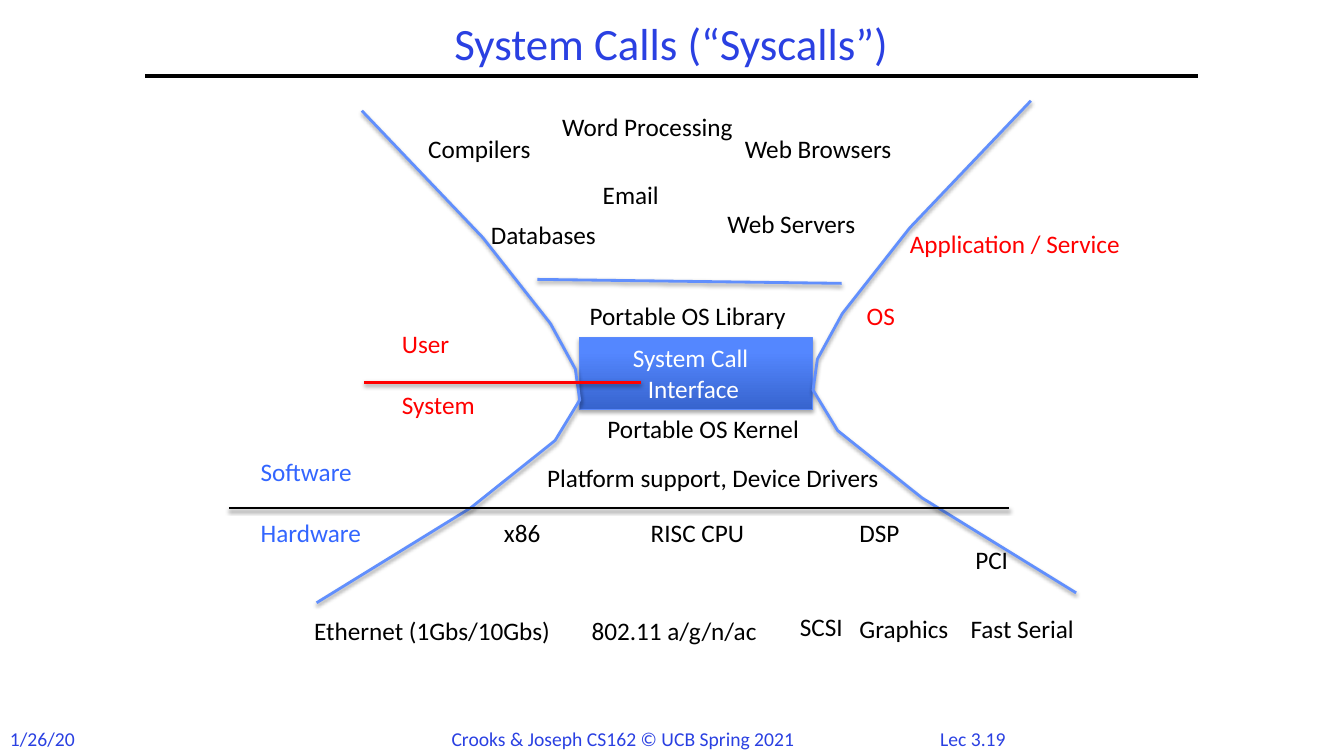
"""Build the slide about system calls as the narrow waist between applications and hardware."""
from copy import deepcopy
from typing import NamedTuple

from lxml.etree import SubElement
from pptx import Presentation
from pptx.dml.color import RGBColor
from pptx.enum.shapes import MSO_CONNECTOR, MSO_SHAPE
from pptx.enum.text import MSO_ANCHOR, MSO_AUTO_SIZE, PP_ALIGN
from pptx.oxml.ns import qn
from pptx.util import Cm, Pt

FONT = "Calibri"
BLACK, WHITE, RED = "000000", "FFFFFF", "FF0000"
TITLE_BLUE, LABEL_BLUE, CURVE_BLUE = "2A40E2", "3366FF", "618FFD"
LABEL_HEIGHT, FOOTER_HEIGHT = 1.02, 0.86
FOOTER_TOP = 18.19
ISA_TOP = 12.9
MIRROR_SUM, MIRROR_RISE = 35.1, 0.25


class Label(NamedTuple):
    text: str
    left: float
    top: float
    width: float
    color: str = BLACK
    size: int = 18
    height: float = LABEL_HEIGHT
    align: PP_ALIGN = PP_ALIGN.LEFT


class Rule(NamedTuple):
    start: tuple[float, float]
    end: tuple[float, float]
    color: str
    width: float = 2
    shadow: bool = True


TITLE = Label("System Calls (“Syscalls”)", 3.66, 0.43, 26.52, TITLE_BLUE, 32, 1.47, PP_ALIGN.CENTER)
INTERFACE = Label("System Call \nInterface", 15.42, 8.51, 4.11, WHITE, height=1.8, align=PP_ALIGN.CENTER)

FOOTERS = [
    Label("Lec 3.19", 23.29, FOOTER_TOP, 2.46, TITLE_BLUE, 14, FOOTER_HEIGHT, PP_ALIGN.CENTER),
    Label("1/26/20", 0, FOOTER_TOP, 2.16, TITLE_BLUE, 14, FOOTER_HEIGHT),
    Label("Crooks & Joseph CS162 © UCB Spring 2021", 11.13, FOOTER_TOP, 9.22, TITLE_BLUE, 14, FOOTER_HEIGHT),
]

LAYER_LABELS = [
    Label("Compilers", 10.54, 3.23, 3.4),
    Label("Web Servers", 18.08, 5.13, 4.22),
    Label("Web Browsers", 18.52, 3.23, 4.67),
    Label("Databases", 12.12, 5.41, 3.58),
    Label("Email", 14.94, 4.39, 2.11),
    Label("Word Processing", 13.92, 2.69, 5.38),
    Label("Portable OS Library", 14.61, 7.44, 6.15),
    INTERFACE,
    Label("Portable OS Kernel", 15.06, 10.29, 6.05),
    Label("Platform support, Device Drivers", 13.54, 11.53, 9.91),
    Label("x86", 12.45, ISA_TOP, 1.55),
    Label("DSP", 21.41, ISA_TOP, 1.93),
    Label("RISC CPU", 16.15, ISA_TOP, 3.23),
    Label("Ethernet (1Gbs/10Gbs)", 7.67, 15.39, 7.14),
    Label("802.11 a/g/n/ac", 14.66, 15.37, 4.88),
    Label("SCSI", 19.91, 15.29, 2.01),
    Label("Fast Serial", 24.21, 15.34, 3.94),
    Label("Graphics", 21.41, 15.32, 3.07),
    Label("PCI", 24.33, 13.59, 1.57),
]

BOUNDARY_LABELS = [
    Label("Hardware", 6.32, ISA_TOP, 3.3, LABEL_BLUE),
    Label("Software", 6.32, 11.38, 3.05, LABEL_BLUE),
    Label("System", 9.88, 9.68, 2.64, RED),
    Label("User", 9.88, 8.15, 1.85, RED),
    Label("OS", 21.59, 7.44, 1.45, RED),
    Label("Application / Service", 22.68, 5.64, 6.32, RED),
]

TITLE_RULE = Rule((3.66, 1.91), (30.2, 1.91), BLACK, 3, False)
BOUNDARIES = [
    Rule((13.54, 7.04), (21.21, 7.14), CURVE_BLUE),
    Rule((5.77, 12.8), (25.43, 12.8), BLACK),
    Rule((9.17, 9.63), (16.15, 9.63), RED),
]

LEFT_CURVE = [
    (9.12, 2.79), (12.17, 5.99), (13.87, 8.15), (14.5, 9.3),
    (14.61, 10.08), (13.99, 11.1), (11.86, 12.8), (7.98, 15.19),
]
RIGHT_CURVE = [(MIRROR_SUM - x, y - MIRROR_RISE) for x, y in LEFT_CURVE]
GRADIENT = [(0, "3764CE"), (0.8, "5487FF"), (1, "5688FF")]


def rgb(value: str) -> RGBColor:
    return RGBColor.from_string(value)


def set_effects(shape, opacity: int = 0, distance: float = 1.6) -> None:
    effects = SubElement(shape._element.spPr, qn("a:effectLst"))
    if opacity:
        shadow = SubElement(effects, qn("a:outerShdw"), blurRad=str(Pt(3.1)), dist=str(Pt(distance)),
                            dir="5400000", rotWithShape="0")
        color = SubElement(shadow, qn("a:srgbClr"), val=BLACK)
        SubElement(color, qn("a:alpha"), val=str(opacity * 1000))


def set_line(shape, color: str, width: float) -> None:
    shape.line.color.rgb = rgb(color)
    shape.line.width = Pt(width)


def add_label(page, label: Label):
    box = page.shapes.add_textbox(Cm(label.left), Cm(label.top), Cm(label.width), Cm(label.height))
    frame = box.text_frame
    frame.text = label.text
    frame.word_wrap = False
    frame.auto_size = MSO_AUTO_SIZE.SHAPE_TO_FIT_TEXT
    for paragraph in frame.paragraphs:
        paragraph.alignment = label.align
        paragraph.font.name = FONT
        paragraph.font.size = Pt(label.size)
        paragraph.font.color.rgb = rgb(label.color)
    return box


def add_title(page, title: Label) -> None:
    frame = add_label(page, title).text_frame
    frame.word_wrap = True
    frame.auto_size = MSO_AUTO_SIZE.NONE
    frame.vertical_anchor = MSO_ANCHOR.MIDDLE
    frame.paragraphs[0].line_spacing = 0.9


def add_rule(page, rule: Rule) -> None:
    ends = [Cm(value) for value in (*rule.start, *rule.end)]
    connector = page.shapes.add_connector(MSO_CONNECTOR.STRAIGHT, *ends)
    set_line(connector, rule.color, rule.width)
    set_effects(connector, 38 if rule.shadow else 0)


def add_curve(page, points: list[tuple[float, float]]) -> None:
    corners = [(Cm(x), Cm(y)) for x, y in points]
    builder = page.shapes.build_freeform(*corners[0])
    builder.add_line_segments(corners[1:], close=False)
    curve = builder.convert_to_shape()
    curve.fill.background()
    set_line(curve, CURVE_BLUE, 2)
    set_effects(curve, 38)


def add_interface_block(page) -> None:
    block = page.shapes.add_shape(MSO_SHAPE.RECTANGLE, Cm(14.61), Cm(8.51), Cm(5.87), Cm(1.8))
    block.fill.gradient()
    block.fill.gradient_angle = 90
    stops = block._element.spPr.find(".//" + qn("a:gsLst"))
    stops.append(deepcopy(stops[0]))
    for stop, (position, color) in zip(block.fill.gradient_stops, GRADIENT):
        stop.position = position
        stop.color.rgb = rgb(color)
    set_line(block, "5B8AFB", 0.75)
    set_effects(block, 35, 1.8)


def main() -> None:
    deck = Presentation()
    deck.slide_width, deck.slide_height = Cm(33.87), Cm(19.05)
    page = deck.slides.add_slide(deck.slide_layouts[6])
    for footer in FOOTERS:
        add_label(page, footer)
    add_rule(page, TITLE_RULE)
    add_title(page, TITLE)
    add_interface_block(page)
    for label in LAYER_LABELS:
        add_label(page, label)
    for points in (LEFT_CURVE, RIGHT_CURVE):
        add_curve(page, points)
    for boundary in BOUNDARIES:
        add_rule(page, boundary)
    for label in BOUNDARY_LABELS:
        add_label(page, label)
    deck.save("out.pptx")


if __name__ == "__main__":
    main()
